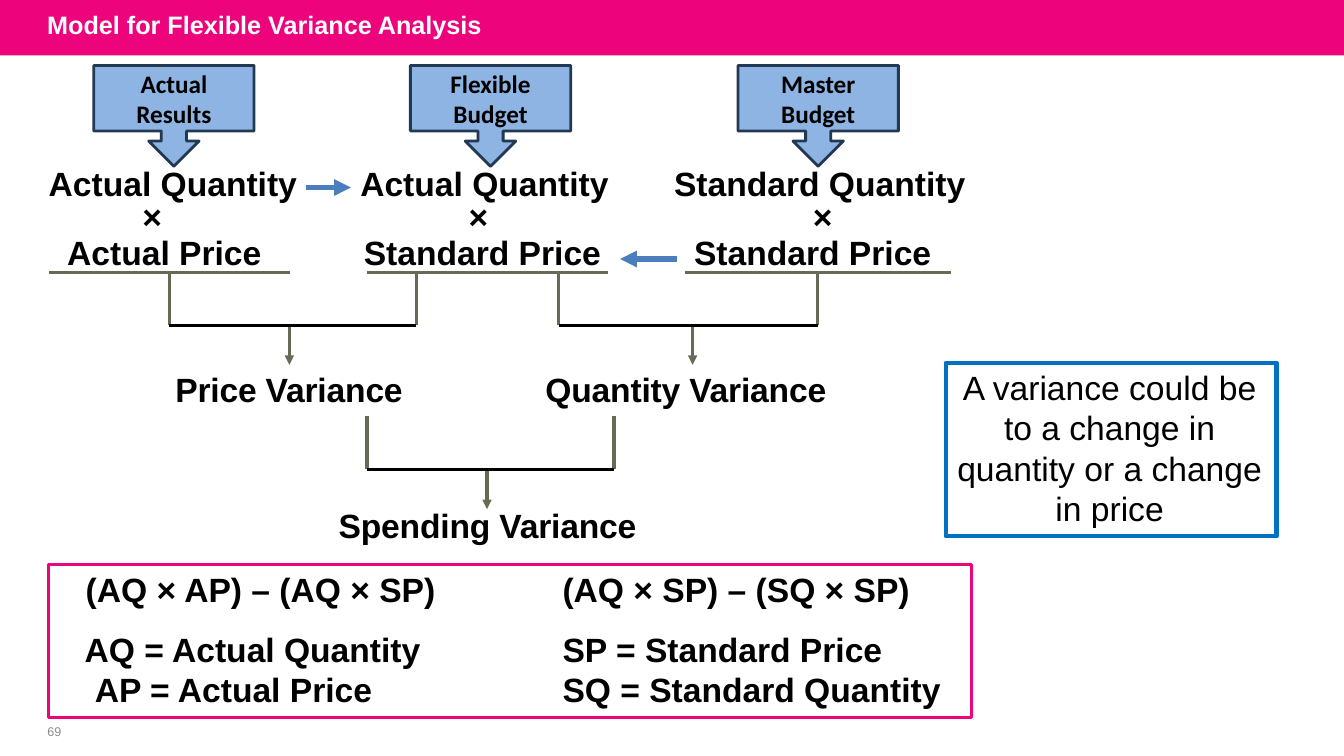
from dataclasses import dataclass

from lxml.etree import SubElement
from pptx import Presentation
from pptx.dml.color import RGBColor
from pptx.enum.shapes import MSO_CONNECTOR as Connector, MSO_SHAPE as Preset
from pptx.enum.text import MSO_ANCHOR as Anchor, PP_ALIGN as Align
from pptx.oxml.ns import qn
from pptx.util import Inches, Pt


@dataclass(frozen=True)
class Theme:
    pink: str = "ED037C"
    white: str = "FFFFFF"
    black: str = "000000"
    gray: str = "8C8C8C"
    olive: str = "676A54"
    note_blue: str = "0070C0"
    callout_fill: str = "8EB4E3"
    callout_line: str = "233953"
    flow_blue: str = "4B7EBC"
    font: str = "Arial"
    callout_font: str = "Calibri"
    body: int = 24
    title: int = 18
    number: int = 9


THEME = Theme()

# Content: lengths in inches
TITLE = "Model for Flexible Variance Analysis"
PAGE_NUMBER = "69"
NOTE = "A variance could be to a change in quantity or a change in price"

CALLOUTS = [  # left, paragraphs
    (0.93, ["Actual", "Results"]),
    (4.07, ["Flexible Budget"]),
    (7.32, ["Master Budget"]),
]
COLUMNS = [  # left, width, (line, left margin, right margin)
    (0.45, 2.53, [("Actual Quantity", 0, 0), ("×", 0, 0.41),
                  ("Actual Price", 0, 0.17)]),
    (3.54, 2.53, [("Actual Quantity", 0, 0), ("×", 0, 0.12),
                  ("Standard Price", 0, 0.04)]),
    (6.64, 2.98, [("Standard Quantity", 0, 0), ("×", 0.06, 0),
                  ("Standard Price", 0, 0.14)]),
]
STEMS = [  # top, underline ends or None, leg positions
    (2.7, (0.49, 2.88), (1.68,)),
    (2.7, (3.64, 6.03), (4.13, 5.54)),
    (2.7, (6.79, 9.43), (8.11,)),
    (4.13, None, (3.64, 6.09)),
]
BARS = [  # left, right, y, pointer x
    (1.68, 4.13, 3.23, 2.87),
    (5.54, 8.11, 3.23, 6.87),
    (3.64, 6.09, 4.66, 4.83),
]
VARIANCES = [  # left, top, width, label
    (1.73, 3.65, 2.4, "Price Variance"),
    (5.4, 3.65, 2.95, "Quantity Variance"),
    (3.35, 5.0, 3.1, "Spending Variance"),
]
FLOWS = [(3.04, 3.48, 1.86), (6.71, 6.15, 2.57)]  # start x, end x, y
FORMULAS = [  # left, (line, left margin)
    (0.84, [("(AQ × AP) – (AQ × SP)", 0.01),
            ("AQ = Actual Quantity", 0), ("AP = Actual Price", 0.1)]),
    (5.58, [("(AQ × SP) – (SQ × SP)", 0),
            ("SP = Standard Price", 0), ("SQ = Standard Quantity", 0)]),
]
LEG_HEIGHT = 0.52
POINTER_HEIGHT = 0.39
LINE_PITCHES = (25.9, 23.1, 25.9)

presentation = Presentation()
presentation.slide_width = Inches(13.33)
presentation.slide_height = Inches(7.5)
slide = presentation.slides.add_slide(presentation.slide_layouts[6])


def color(value):
    return RGBColor.from_string(value)


def paint(shape, fill=None, line=None, weight=2):
    shape.shadow.inherit = False
    if fill:
        shape.fill.solid()
        shape.fill.fore_color.rgb = color(fill)
    else:
        shape.fill.background()
    if line:
        shape.line.color.rgb = color(line)
        shape.line.width = Pt(weight)
    else:
        shape.line.fill.background()
    return shape


def add_box(left, top, width, height, preset=Preset.RECTANGLE, **look):
    return paint(slide.shapes.add_shape(
        preset, Inches(left), Inches(top), Inches(width), Inches(height)), **look)


def add_label(left, top, width, height):
    return slide.shapes.add_textbox(
        Inches(left), Inches(top), Inches(width), Inches(height))


def set_frame(shape, anchor=Anchor.TOP, side=0, top=0.01, bottom=0):
    frame = shape.text_frame
    frame.word_wrap = True
    frame.vertical_anchor = anchor
    frame.margin_left = frame.margin_right = Inches(side)
    frame.margin_top, frame.margin_bottom = Inches(top), Inches(bottom)
    return frame


def write(frame, text, size=THEME.body, ink=THEME.black, bold=True,
          font=THEME.font, align=Align.LEFT, margins=(0, 0), tracking=0):
    first = frame.paragraphs[0]
    paragraph = frame.add_paragraph() if first.runs else first
    paragraph.alignment = align
    for side, margin in zip(("marL", "marR"), margins):
        if margin:
            paragraph._p.get_or_add_pPr().set(side, str(Inches(margin)))
    run = paragraph.add_run()
    run.text = text
    run.font.name, run.font.size, run.font.bold = font, Pt(size), bold
    run.font.color.rgb = color(ink)
    if tracking:
        run._r.get_or_add_rPr().set("spc", str(tracking))
    return paragraph


def add_line(x1, y1, x2, y2, ink=THEME.olive, weight=2.25, arrow=False):
    line = slide.shapes.add_connector(
        Connector.STRAIGHT, Inches(x1), Inches(y1), Inches(x2), Inches(y2))
    line.line.color.rgb = color(ink)
    line.line.width = Pt(weight)
    if arrow:
        SubElement(line.line._get_or_add_ln(), qn("a:tailEnd"), type="triangle")
    SubElement(line._element.spPr, qn("a:effectLst"))


def add_strokes(strokes):
    points = [[(Inches(x), Inches(y)) for x, y in stroke] for stroke in strokes]
    builder = slide.shapes.build_freeform(*points[0][0])
    for index, (start, end) in enumerate(points):
        if index:
            builder.move_to(*start)
        builder.add_line_segments([end], close=False)
    paint(builder.convert_to_shape(), line=THEME.olive, weight=2.25)


# Header and page number
add_box(0, 0, 13.33, 0.55, fill=THEME.pink)
title_frame = set_frame(add_label(0.37, -0.03, 10.5, 0.55),
                        Anchor.MIDDLE, 0.1, 0.05, 0.05)
write(title_frame, TITLE, THEME.title, THEME.white)
number_frame = set_frame(add_label(0.26, 7.14, 0.52, 0.24), Anchor.MIDDLE, top=0)
write(number_frame, PAGE_NUMBER, THEME.number, THEME.gray, False,
      align=Align.CENTER, margins=(0.04, 0))

# Quantity and price columns
for left, width, lines in COLUMNS:
    frame = set_frame(add_label(left, 1.65, width, 1.07))
    for (text, *margins), pitch in zip(lines, LINE_PITCHES):
        paragraph = write(frame, text, align=Align.CENTER, margins=margins)
        paragraph.line_spacing = Pt(pitch)

# Brackets leading to each variance
for top, underline, legs in STEMS:
    strokes = [((x, top), (x, top + LEG_HEIGHT)) for x in legs]
    if underline:
        strokes.insert(0, tuple((x, top) for x in underline))
    add_strokes(strokes)
for left, right, y, pointer in BARS:
    add_line(pointer, y, pointer, y + POINTER_HEIGHT, arrow=True)
    add_line(left, y, right, y, THEME.black)

for left, top, width, label in VARIANCES:
    write(set_frame(add_label(left, top, width, 0.43)), label,
          margins=(0.01, 0), tracking=-15)

# Side note
note_frame = set_frame(add_box(9.38, 3.6, 3.28, 1.72, line=THEME.note_blue,
                               weight=3), top=0.04)
write(note_frame, NOTE, bold=False, align=Align.CENTER, margins=(0.03, 0.06))

# Formulas and abbreviations
add_box(0.48, 5.6, 9.16, 1.52, line=THEME.pink)
for left, lines in FORMULAS:
    frame = set_frame(add_label(left, 5.43, 3.9, 1.63), top=0.21)
    for index, (text, margin) in enumerate(lines):
        paragraph = write(frame, text, margins=(margin, 0))
        if index == 1:
            paragraph.space_before = Pt(14.4)

# Callouts and flow arrows
for left, lines in CALLOUTS:
    callout = add_box(left, 0.65, 1.59, 1, Preset.DOWN_ARROW_CALLOUT,
                      fill=THEME.callout_fill, line=THEME.callout_line)
    frame = set_frame(callout, Anchor.MIDDLE, 0.1, 0.05, 0.05)
    for text in lines:
        write(frame, text, THEME.title, font=THEME.callout_font,
              align=Align.CENTER)
for start, end, y in FLOWS:
    add_line(start, y, end, y, THEME.flow_blue, 4, arrow=True)

presentation.save("out.pptx")
